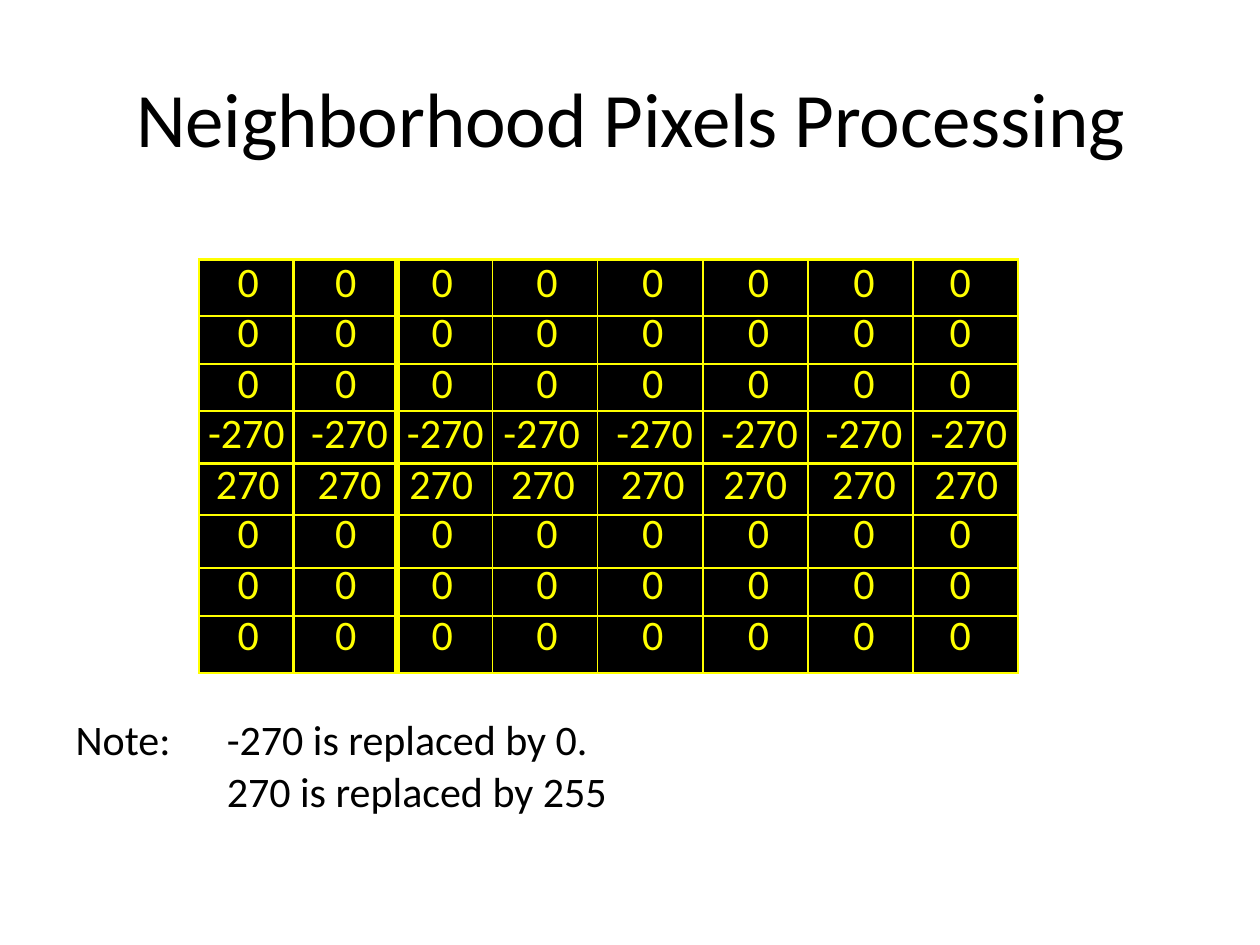
from dataclasses import dataclass

from lxml.etree import SubElement
from pptx import Presentation
from pptx.dml.color import RGBColor
from pptx.enum.text import MSO_ANCHOR, PP_ALIGN
from pptx.oxml.ns import qn
from pptx.util import Inches, Pt

LEFT, CENTER, RIGHT = PP_ALIGN.LEFT, PP_ALIGN.CENTER, PP_ALIGN.RIGHT

COLUMN_WIDTHS = [7.5, 8.2, 7.6] + [8.34] * 5
ROW_HEIGHTS = [4.5, 3.8, 3.7, 4.2, 4.1, 4.2, 3.8, 4.5]
LINE_SPACINGS = [28.4, 24.4, 25.9, 27.9, 26.8, 25.7, 24.4, 26.1]
ROW_VALUES = ["0"] * 3 + ["-270", "270"] + ["0"] * 3
VERTICAL_RULES = [1.5, 1.5, 4.25, 1, 1, 1.5, 1.5, 1.5, 1]

CELL_LAYOUTS = {
    "0": [(CENTER, 0.05, 0.02), (CENTER, 0.01, 0), (CENTER, 0, 0.04), (CENTER, 0.03, 0),
          (CENTER, 0.04, 0), (CENTER, 0.05, 0), (CENTER, 0.06, 0), (CENTER, 0, 0.08)],
    "-270": [(RIGHT, 0, 0.07), (LEFT, 0.14, 0), (LEFT, 0.08, 0), (RIGHT, 0, 0.14),
             (CENTER, 0.07, 0), (CENTER, 0.07, 0), (CENTER, 0.06, 0), (LEFT, 0.14, 0)],
    "270": [(RIGHT, 0, 0.11), (LEFT, 0.19, 0), (LEFT, 0.1, 0), (RIGHT, 0, 0.18),
            (CENTER, 0.04, 0), (CENTER, 0, 0), (CENTER, 0.06, 0), (LEFT, 0.17, 0)],
}


@dataclass(frozen=True)
class Theme:
    """Colours, font and type sizes of the slide."""

    font: str = "Calibri"
    ink: str = "000000"
    cell: str = "000000"
    accent: str = "FFFF00"
    title_size: float = 44
    body_size: float = 24
    rule: float = 1.5


def write_text(frame, text, *, font, size, color, align=LEFT, left=0, right=0,
               line_spacing=None, tracking=0):
    """Write each line of text as a formatted paragraph."""
    for index, line in enumerate(text.split("\n")):
        paragraph = frame.add_paragraph() if index else frame.paragraphs[0]
        paragraph.alignment = align
        properties = paragraph._p.get_or_add_pPr()
        properties.set("marL", str(Inches(left)))
        properties.set("marR", str(Inches(right)))
        properties.set("indent", "0")
        if line_spacing:
            paragraph.line_spacing = Pt(line_spacing)
        if index:
            paragraph.space_before = Pt(1)
        run = paragraph.add_run()
        run.text = line
        run.font.name = font
        run.font.size = Pt(size)
        run.font.color.rgb = RGBColor.from_string(color)
        if tracking:
            run._r.get_or_add_rPr().set("spc", str(round(tracking * 100)))


class SlideBuilder:
    """Places elements on a grid of 100 columns by 75 rows."""

    def __init__(self, presentation, theme):
        """Add a blank slide and measure its grid."""
        self.theme = theme
        self.slide = presentation.slides.add_slide(presentation.slide_layouts[6])
        self.column = presentation.slide_width / 100
        self.row = presentation.slide_height / 75

    def place(self, left, top, width, height):
        """Turn grid units into slide lengths."""
        return (round(left * self.column), round(top * self.row),
                round(width * self.column), round(height * self.row))

    def text(self, area, text, *, size, anchor=MSO_ANCHOR.TOP, **options):
        """Add a text box."""
        frame = self.slide.shapes.add_textbox(*self.place(*area)).text_frame
        frame.word_wrap = True
        frame.vertical_anchor = anchor
        frame.margin_left = frame.margin_right = frame.margin_bottom = 0
        frame.margin_top = Inches(0.01)
        write_text(frame, text, font=self.theme.font, size=size,
                   color=self.theme.ink, left=0.01, **options)

    def border(self, cell, sides):
        """Draw the borders of a cell from a mapping of side to width."""
        properties = cell._tc.get_or_add_tcPr()
        for index, (side, width) in enumerate(sides.items()):
            line = properties.makeelement(qn(f"a:{side}"), {"w": str(Pt(width))})
            properties.insert(index, line)
            fill = SubElement(line, qn("a:solidFill"))
            SubElement(fill, qn("a:srgbClr")).set("val", self.theme.accent)

    def pixel_table(self, left, top):
        """Add the table of pixel values."""
        area = self.place(left, top, sum(COLUMN_WIDTHS), sum(ROW_HEIGHTS))
        table = self.slide.shapes.add_table(len(ROW_HEIGHTS), len(COLUMN_WIDTHS), *area).table
        table.first_row = table.horz_banding = False
        for column, width in zip(table.columns, COLUMN_WIDTHS):
            column.width = round(width * self.column)
        for row, height, value, spacing in zip(table.rows, ROW_HEIGHTS, ROW_VALUES, LINE_SPACINGS):
            row.height = round(height * self.row)
            for index, (align, indent, right) in enumerate(CELL_LAYOUTS[value]):
                cell = row.cells[index]
                cell.margin_left = cell.margin_right = cell.margin_top = cell.margin_bottom = 0
                cell.fill.solid()
                cell.fill.fore_color.rgb = RGBColor.from_string(self.theme.cell)
                self.border(cell, {"lnL": VERTICAL_RULES[index], "lnR": VERTICAL_RULES[index + 1],
                                   "lnT": self.theme.rule, "lnB": self.theme.rule})
                write_text(cell.text_frame, value, font=self.theme.font,
                           size=self.theme.body_size, color=self.theme.accent, align=align,
                           left=indent, right=right, line_spacing=spacing)


def main():
    """Build and save the slide."""
    presentation = Presentation()
    presentation.slide_width, presentation.slide_height = Inches(10), Inches(7.5)
    theme = Theme()
    builder = SlideBuilder(presentation, theme)
    builder.text((5, 3, 90, 12.5), "Neighborhood Pixels Processing", size=theme.title_size,
                 anchor=MSO_ANCHOR.MIDDLE, align=CENTER, tracking=-0.1)
    builder.pixel_table(15.8, 20.6)
    builder.text((5.9, 56.5, 7.9, 4.3), "Note:", size=theme.body_size)
    builder.text((17.9, 56.5, 32.1, 8.4), "-270 is replaced by 0.\n270 is replaced by 255",
                 size=theme.body_size)
    presentation.save("out.pptx")


if __name__ == "__main__":
    main()
